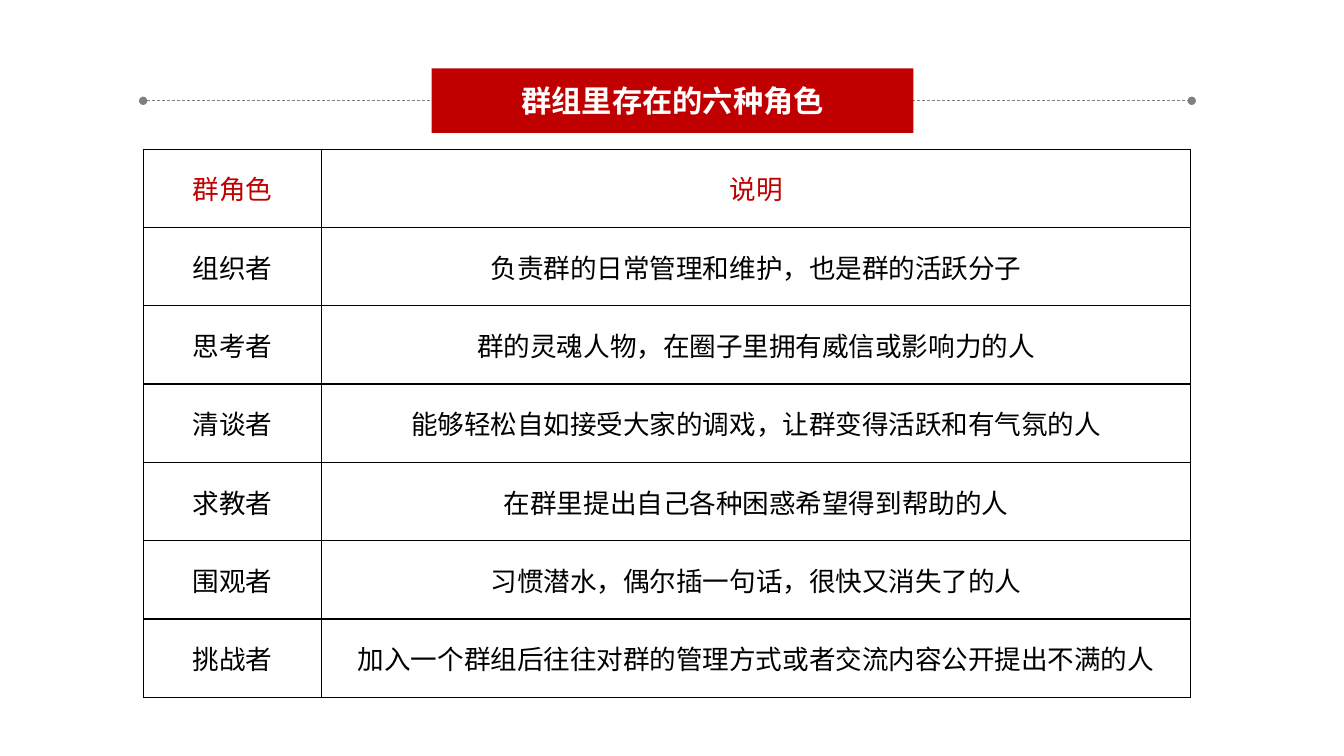
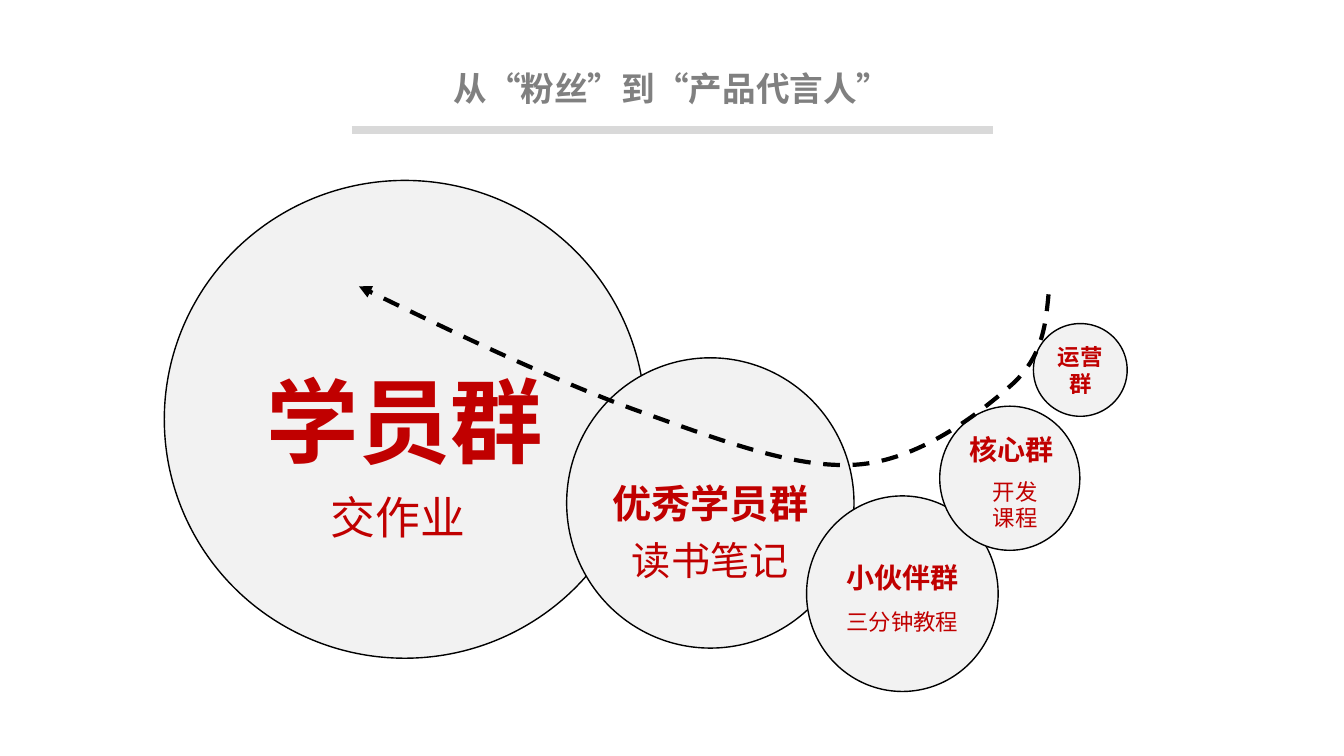
"""Build two slides on group roles and the path from fan to spokesperson."""
from dataclasses import dataclass
from typing import Any, NamedTuple

from lxml.etree import SubElement
from pptx import Presentation
from pptx.dml.color import RGBColor
from pptx.enum.dml import MSO_LINE
from pptx.enum.shapes import MSO_CONNECTOR, MSO_SHAPE
from pptx.enum.text import MSO_ANCHOR, PP_ALIGN
from pptx.oxml.ns import qn
from pptx.util import Inches, Pt


@dataclass(frozen=True)
class Theme:
    """Colours, fonts and type sizes."""
    red: str = "C00000"
    black: str = "000000"
    white: str = "FFFFFF"
    grey: str = "808080"
    rule: str = "D9D9D9"
    disc: str = "F2F2F2"
    cjk: str = "Noto Sans CJK SC"
    latin: str = "Arial"
    table_size: float = 19
    banner_size: float = 21.6
    title_size: float = 24
    huge: float = 66
    large: float = 32
    medium: float = 28
    small: float = 20
    tiny: float = 16


T = Theme()


class Box(NamedTuple):
    """Left, top, width and height in inches."""
    x: float
    y: float
    w: float
    h: float

    def emu(self) -> list[int]:
        """Return the box as lengths."""
        return [Inches(v) for v in self]


class Disc(NamedTuple):
    """One circle of the group chain."""
    box: Box
    text: str = ""
    size: float = T.small
    anchor: MSO_ANCHOR = MSO_ANCHOR.MIDDLE
    side: float = 0.1
    top: float = 0.05


class Label(NamedTuple):
    """One free text beside or inside a circle."""
    box: Box
    text: str
    size: float
    bold: bool = False
    anchor: MSO_ANCHOR = MSO_ANCHOR.TOP


ROLES = [
    ("群角色", "说明"),
    ("组织者", "负责群的日常管理和维护，也是群的活跃分子"),
    ("思考者", "群的灵魂人物，在圈子里拥有威信或影响力的人"),
    ("清谈者", "能够轻松自如接受大家的调戏，让群变得活跃和有气氛的人"),
    ("求教者", "在群里提出自己各种困惑希望得到帮助的人"),
    ("围观者", "习惯潜水，偶尔插一句话，很快又消失了的人"),
    ("挑战者", "加入一个群组后往往对群的管理方式或者交流内容公开提出不满的人"),
]
ROLE_COLUMNS = (1.77, 8.62)
DISCS = [
    Disc(Box(10.25, 3.21, 0.93, 0.92), "运营群", T.tiny),
    Disc(Box(1.63, 1.79, 4.77, 4.74), "学员群", T.huge),
    Disc(Box(5.62, 3.55, 2.85, 2.88), "优秀学员群", T.medium, side=0),
    Disc(Box(8, 4.92, 1.9, 1.94), "小伙伴群", anchor=MSO_ANCHOR.TOP, top=0.36),
    Disc(Box(9.32, 4.03, 1.39, 1.43)),
]
CORE_LABEL = Label(Box(9.15, 4.11, 1.76, 0.69), "核心群", T.small, True, MSO_ANCHOR.MIDDLE)
TASK_LABELS = [
    Label(Box(3.08, 4.81, 1.74, 0.64), "交作业", T.large),
    Label(Box(6.11, 5.27, 1.87, 0.57), "读书笔记", T.medium),
    Label(Box(8.27, 5.98, 1.36, 0.37), "三分钟教程", T.tiny),
    Label(Box(9.39, 4.69, 1.36, 0.64), "开发\n课程", T.tiny),
]
PATH_POINTS = [
    (10.4, 2.92), (10.37, 3.23), (10.34, 3.55), (10.02, 3.83), (9.7, 4.11),
    (9.11, 4.57), (8.49, 4.61), (7.87, 4.65), (7.13, 4.36), (6.31, 4.07),
    (5.49, 3.77), (4.52, 3.31), (3.56, 2.84),
]


def rgb(value: str) -> RGBColor:
    """Turn a hex value into a colour."""
    return RGBColor.from_string(value)


def write(tf: Any, text: str, *, size: float, color: str = T.red, font: str = T.latin,
          bold: bool = False) -> None:
    """Write centred text, one paragraph for each line."""
    for i, line in enumerate(text.split("\n")):
        p = tf.add_paragraph() if i else tf.paragraphs[0]
        p.alignment = PP_ALIGN.CENTER
        r = p.add_run()
        r.text = line
        r.font.size, r.font.bold, r.font.name = Pt(size), bold, font
        r.font.color.rgb = rgb(color)
        SubElement(r.font._element, qn("a:ea"), typeface=T.cjk)


def add_text(shapes: Any, label: Label, color: str = T.red, font: str = T.latin) -> None:
    """Add a wrapped text box."""
    tf = shapes.add_textbox(*label.box.emu()).text_frame
    tf.word_wrap = True
    tf.vertical_anchor = label.anchor
    write(tf, label.text, size=label.size, color=color, font=font, bold=label.bold)


def add_shape(shapes: Any, kind: MSO_SHAPE, box: Box, fill: str, line: str = "") -> Any:
    """Add a flat filled shape, outlined when a line colour is given."""
    sp = shapes.add_shape(kind, *box.emu())
    sp.shadow.inherit = False
    sp.fill.solid()
    sp.fill.fore_color.rgb = rgb(fill)
    if line:
        sp.line.color.rgb, sp.line.width = rgb(line), Pt(1)
    else:
        sp.line.fill.background()
    sp.text_frame.word_wrap = True
    sp.text_frame.vertical_anchor = MSO_ANCHOR.MIDDLE
    return sp


def style_line(line: Any, color: str, width: float, dashed: bool = False,
               head: str = "", tail: str = "") -> None:
    """Set a line's colour, width, dash and ends."""
    line.color.rgb, line.width = rgb(color), Pt(width)
    if dashed:
        line.dash_style = MSO_LINE.DASH
    ln = line._get_or_add_ln()
    for tag, kind in (("a:headEnd", head), ("a:tailEnd", tail)):
        if kind:
            SubElement(ln, qn(tag), type=kind)


def add_rule(shapes: Any, x1: float, x2: float, y: float, color: str, width: float,
             dashed: bool = False, ends: str = "") -> None:
    """Add a horizontal line."""
    cx = shapes.add_connector(MSO_CONNECTOR.STRAIGHT, Inches(x1), Inches(y), Inches(x2), Inches(y))
    style_line(cx.line, color, width, dashed, ends, ends)
    SubElement(cx._element.spPr, qn("a:effectLst"))


def add_curve(shapes: Any, points: list[tuple[float, float]]) -> None:
    """Add a dashed arrow along cubic curves, three points to each curve."""
    pts = [(Inches(x), Inches(y)) for x, y in points]
    fb = shapes.build_freeform(*pts[0])
    fb.add_line_segments(pts[1:], close=False)
    sp = fb.convert_to_shape()
    steps = list(sp._element.iter(qn("a:lnTo")))
    outline = steps[0].getparent()
    outline.set("fill", "none")
    for i in range(0, len(steps), 3):
        curve = SubElement(outline, qn("a:cubicBezTo"))
        for step in steps[i:i + 3]:
            curve.append(step[0])
            outline.remove(step)
    sp.shadow.inherit = False
    sp.fill.background()
    style_line(sp.line, T.black, 3, True, tail="triangle")


def border_cell(cell: Any) -> None:
    """Draw a thin black border round a cell."""
    tc_pr = cell._tc.get_or_add_tcPr()
    for side in ("L", "R", "T", "B"):
        ln = SubElement(tc_pr, qn(f"a:ln{side}"), w=str(Pt(1)))
        SubElement(SubElement(ln, qn("a:solidFill")), qn("a:srgbClr"), val=T.black)


def add_roles_table(shapes: Any, box: Box) -> None:
    """Add the table of roles."""
    table = shapes.add_table(len(ROLES), len(ROLE_COLUMNS), *box.emu()).table
    table.first_row = table.horz_banding = False
    for column, width in zip(table.columns, ROLE_COLUMNS):
        column.width = Inches(width)
    for i, row in enumerate(ROLES):
        for j, text in enumerate(row):
            cell = table.cell(i, j)
            border_cell(cell)
            cell.fill.solid()
            cell.fill.fore_color.rgb = rgb(T.white)
            cell.vertical_anchor = MSO_ANCHOR.MIDDLE
            cell.margin_left = cell.margin_right = Inches(0.09)
            cell.margin_top = cell.margin_bottom = 0
            write(cell.text_frame, text, size=T.table_size, font=T.cjk,
                  color=T.black if i else T.red)


def add_disc(shapes: Any, disc: Disc) -> None:
    """Add a circle with its name."""
    tf = add_shape(shapes, MSO_SHAPE.OVAL, disc.box, T.disc, T.black).text_frame
    tf.vertical_anchor = disc.anchor
    tf.margin_left = tf.margin_right = Inches(disc.side)
    tf.margin_top = Inches(disc.top)
    if disc.text:
        write(tf, disc.text, size=disc.size, bold=True)


def roles_slide(s: Any) -> None:
    """Draw the six roles."""
    add_roles_table(s.shapes, Box(1.42, 1.48, 10.39, 5.44))
    add_rule(s.shapes, 1.42, 11.82, 1, T.grey, 0.5, dashed=True, ends="oval")
    sp = add_shape(s.shapes, MSO_SHAPE.RECTANGLE, Box(4.28, 0.68, 4.78, 0.64), T.red)
    write(sp.text_frame, "群组里存在的六种角色", size=T.banner_size, color=T.white,
          font=T.cjk, bold=True)


def chain_slide(s: Any) -> None:
    """Draw the chain of groups."""
    chain = s.shapes.add_group_shape().shapes
    for disc in DISCS:
        add_disc(chain, disc)
    add_text(chain, CORE_LABEL)
    add_curve(chain, PATH_POINTS)
    for label in TASK_LABELS:
        add_text(chain, label)
    title = Label(Box(1.47, 0.62, 10.39, 0.5), "从“粉丝”到“产品代言人”", T.title_size, True)
    add_text(s.shapes, title, T.grey, T.cjk)
    add_rule(s.shapes, 3.49, 9.85, 1.29, T.rule, 6)


def main() -> None:
    """Build and save the slides."""
    prs = Presentation()
    prs.slide_width, prs.slide_height = Inches(13.33), Inches(7.5)
    for draw in (roles_slide, chain_slide):
        draw(prs.slides.add_slide(prs.slide_layouts[6]))
    prs.save("out.pptx")


if __name__ == "__main__":
    main()
